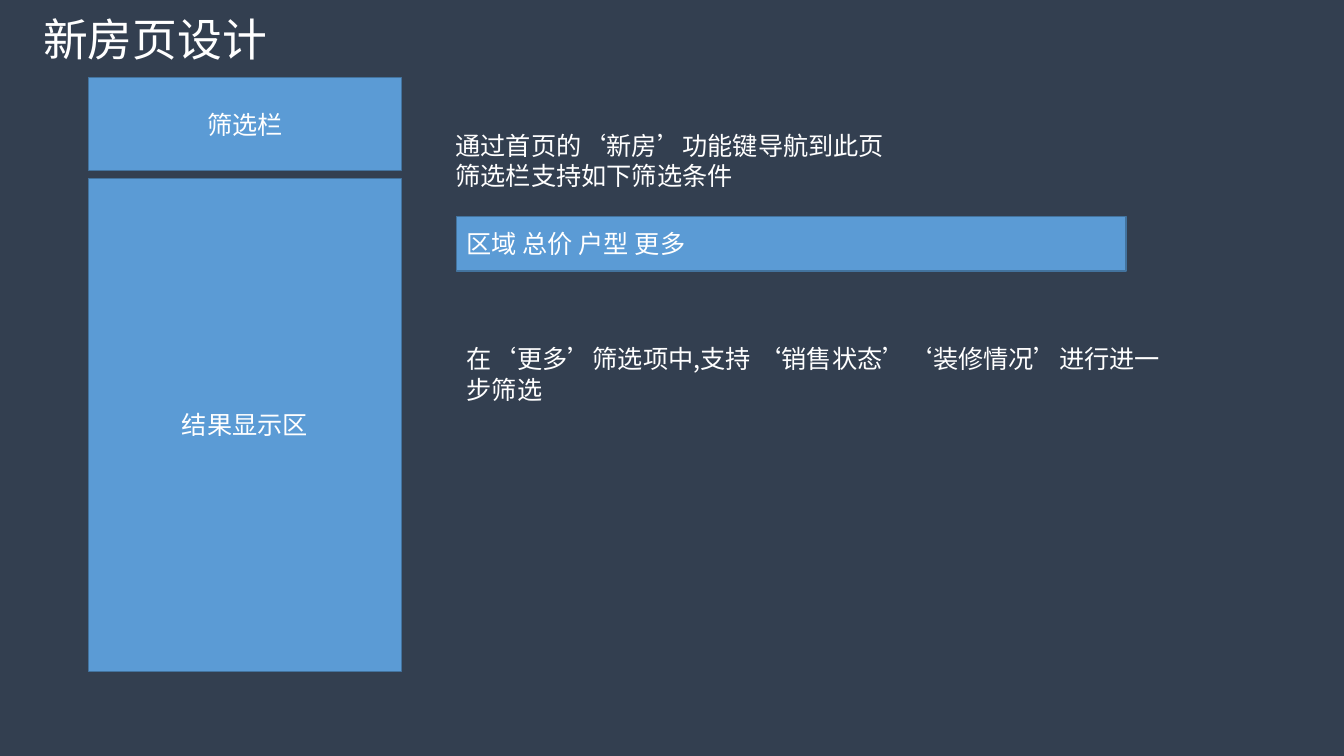
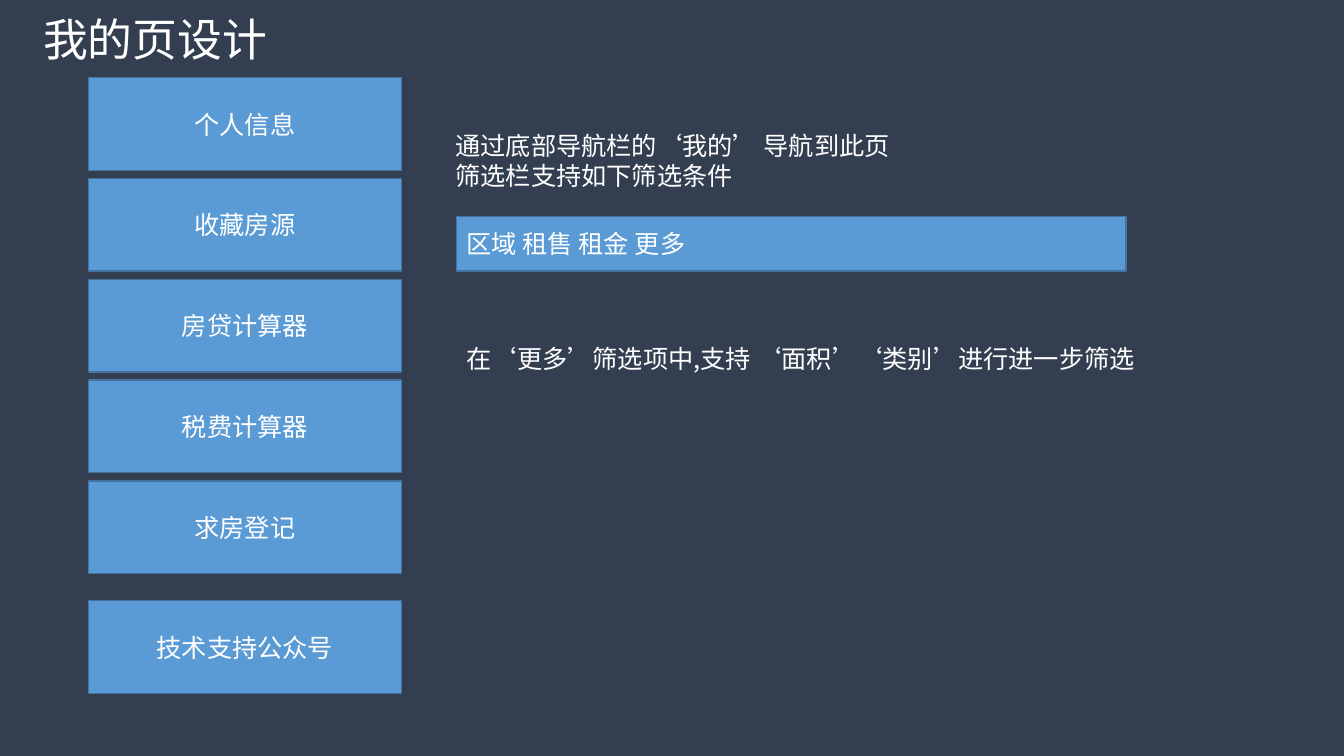
from dataclasses import dataclass

from lxml.etree import SubElement
from pptx import Presentation
from pptx.dml.color import RGBColor
from pptx.enum.shapes import MSO_SHAPE
from pptx.enum.text import MSO_ANCHOR, MSO_AUTO_SIZE, PP_ALIGN
from pptx.oxml.ns import qn
from pptx.slide import Slide
from pptx.text.text import TextFrame
from pptx.util import Inches, Pt

NAVY = RGBColor(0x33, 0x3F, 0x50)
BLUE = RGBColor(0x5B, 0x9B, 0xD5)
EDGE = RGBColor(0x43, 0x73, 0x9E)
WHITE = RGBColor(0xFF, 0xFF, 0xFF)
FONT = "Noto Sans CJK SC"

TITLE_SIZE, BODY_SIZE = 32, 18
STACK_LEFT, STACK_TOP, STACK_WIDTH = 0.88, 0.77, 3.1
STACK_PITCH, BLOCK_HEIGHT = 1.0, 0.92
TEXT_WIDTH = 7.3


@dataclass(frozen=True)
class Area:
    """A rectangle on the page, in inches."""

    left: float
    top: float
    width: float
    height: float

    def lengths(self) -> list[Inches]:
        """Return the four values as lengths."""
        return [Inches(v) for v in (self.left, self.top, self.width, self.height)]


@dataclass(frozen=True)
class Block:
    """A labelled block in the phone layout stack; row may be fractional."""

    label: str
    row: float
    height: float = BLOCK_HEIGHT


@dataclass(frozen=True)
class PageDesign:
    """The content of one page-design slide."""

    title: str
    blocks: list[Block]
    intro: list[str]
    filters: str
    detail: str
    detail_height: float


TITLE_AREA = Area(0.33, 0.07, TEXT_WIDTH, 0.64)
INTRO_AREA = Area(4.42, 1.24, TEXT_WIDTH, 0.71)
FILTER_AREA = Area(4.53, 2.15, 6.64, 0.54)
DETAIL_LEFT, DETAIL_TOP = 4.53, 3.36

MY_PAGE_ROWS = ["个人信息", "收藏房源", "房贷计算器", "税费计算器", "求房登记"]

PAGES = [
    PageDesign(
        title="新房页设计",
        blocks=[Block("筛选栏", 0), Block("结果显示区", 1, 4.89)],
        intro=["通过首页的‘新房’功能键导航到此页", "筛选栏支持如下筛选条件"],
        filters="区域 总价 户型 更多",
        detail="在‘更多’筛选项中,支持 ‘销售状态’‘装修情况’进行进一步筛选".replace(",", ","),
        detail_height=0.71,
    ),
    PageDesign(
        title="我的页设计",
        blocks=[Block(label, row) for row, label in enumerate(MY_PAGE_ROWS)]
        + [Block("技术支持公众号", 5.19)],
        intro=["通过底部导航栏的‘我的’ 导航到此页", "筛选栏支持如下筛选条件"],
        filters="区域 租售 租金 更多",
        detail="在‘更多’筛选项中,支持 ‘面积’‘类别’进行进一步筛选".replace(",", ","),
        detail_height=0.4,
    ),
]


def write_lines(frame: TextFrame, lines: list[str], size: int, align: PP_ALIGN) -> None:
    """Write each line as a paragraph in the shared white type."""
    frame.word_wrap = True
    font_format = {"name": FONT, "size": Pt(size)}
    for index, line in enumerate(lines):
        para = frame.paragraphs[0] if index == 0 else frame.add_paragraph()
        para.alignment = align
        span = para.add_run()
        span.text = line
        for name, value in font_format.items():
            setattr(span.font, name, value)
        span.font.color.rgb = WHITE
        properties = span._r.get_or_add_rPr()
        properties.set("lang", "zh-CN")
        SubElement(properties, qn("a:ea")).set("typeface", FONT)


def add_text(page: Slide, area: Area, lines: list[str], size: int = BODY_SIZE) -> None:
    """Add a left-aligned text box that grows with its text."""
    box = page.shapes.add_textbox(*area.lengths())
    write_lines(box.text_frame, lines, size, PP_ALIGN.LEFT)
    box.text_frame.auto_size = MSO_AUTO_SIZE.SHAPE_TO_FIT_TEXT


def add_panel(page: Slide, area: Area, label: str, align: PP_ALIGN) -> None:
    """Add a blue outlined rectangle with a label."""
    panel = page.shapes.add_shape(MSO_SHAPE.RECTANGLE, *area.lengths())
    panel.shadow.inherit = False
    panel.fill.solid()
    panel.fill.fore_color.rgb = BLUE
    panel.line.color.rgb = EDGE
    panel.line.width = Pt(1)
    panel.text_frame.vertical_anchor = MSO_ANCHOR.MIDDLE
    write_lines(panel.text_frame, [label], BODY_SIZE, align)


def draw_page(page: Slide, design: PageDesign) -> None:
    """Draw the block stack on the left and the notes on the right."""
    for block in design.blocks:
        top = STACK_TOP + block.row * STACK_PITCH
        area = Area(STACK_LEFT, top, STACK_WIDTH, block.height)
        add_panel(page, area, block.label, PP_ALIGN.CENTER)
    add_text(page, TITLE_AREA, [design.title], TITLE_SIZE)
    add_text(page, INTRO_AREA, design.intro)
    add_panel(page, FILTER_AREA, design.filters, PP_ALIGN.JUSTIFY)
    detail_area = Area(DETAIL_LEFT, DETAIL_TOP, TEXT_WIDTH, design.detail_height)
    add_text(page, detail_area, [design.detail])


def main() -> None:
    """Build and save the deck."""
    deck = Presentation()
    deck.slide_width, deck.slide_height = Inches(13.33), Inches(7.5)
    backdrop = deck.slide_master.background.fill
    backdrop.solid()
    backdrop.fore_color.rgb = NAVY
    blank = deck.slide_layouts[6]
    for design in PAGES:
        draw_page(deck.slides.add_slide(blank), design)
    deck.save("out.pptx")


main()
